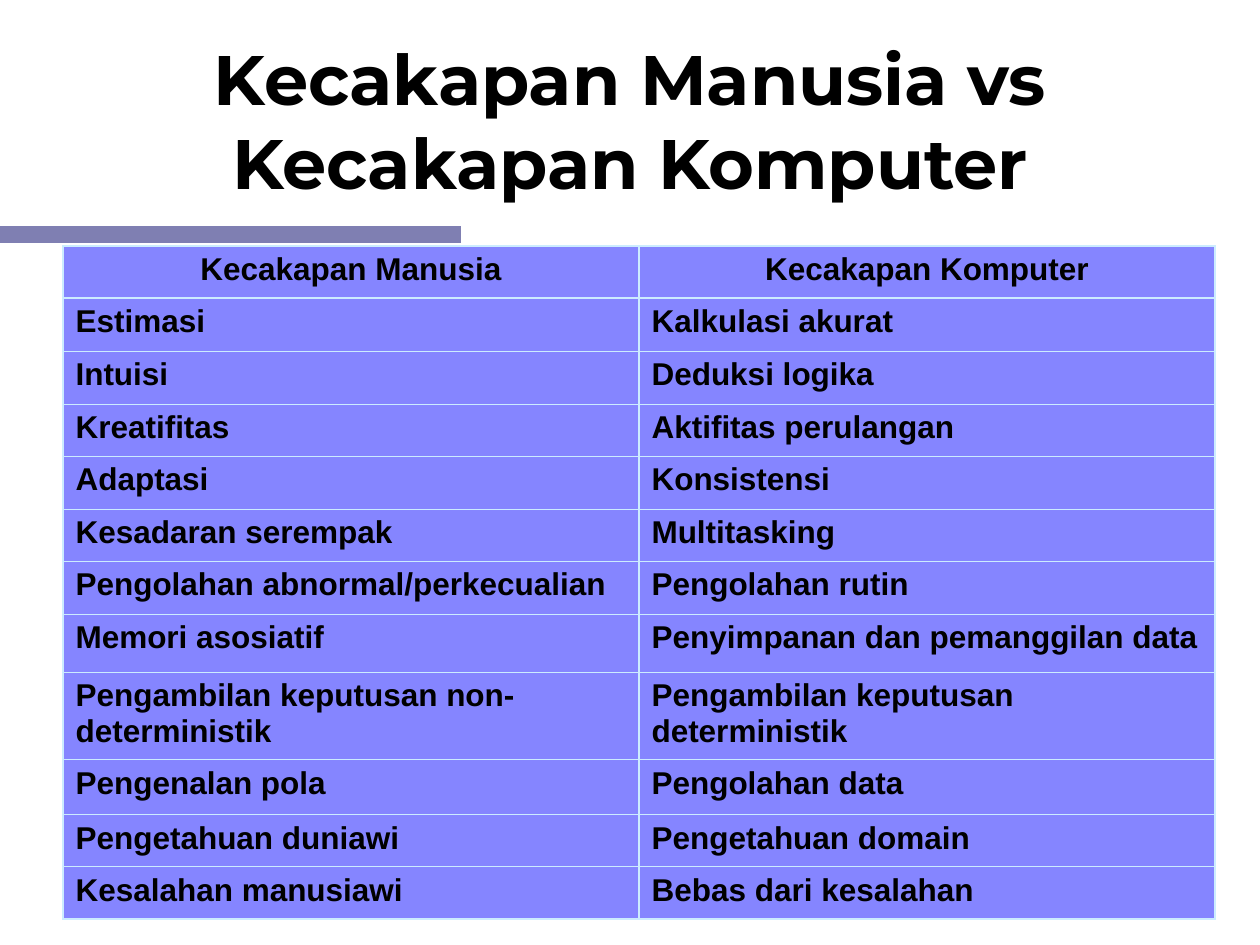
"""Build the slide comparing human and computer skills."""
import lxml.etree
import pptx
import pptx.dml.color
import pptx.enum.shapes
import pptx.enum.text
import pptx.oxml.ns
import pptx.util

PX = 914400 / 126
CENTER = pptx.enum.text.PP_ALIGN.CENTER
LEFT = pptx.enum.text.PP_ALIGN.LEFT
THIN, MEDIUM, THICK = 0.45, 1.08, 1.47
SKILLS = [
    ("Kecakapan Manusia", "Kecakapan Komputer", 52),
    ("Estimasi", "Kalkulasi akurat", 53),
    ("Intuisi", "Deduksi logika", 53),
    ("Kreatifitas", "Aktifitas perulangan", 52),
    ("Adaptasi", "Konsistensi", 53),
    ("Kesadaran serempak", "Multitasking", 52),
    ("Pengolahan abnormal/perkecualian", "Pengolahan rutin", 53),
    ("Memori asosiatif", "Penyimpanan dan pemanggilan data", 58),
    ("Pengambilan keputusan non-deterministik", "Pengambilan keputusan deterministik", 88),
    ("Pengenalan pola", "Pengolahan data", 55),
    ("Pengetahuan duniawi", "Pengetahuan domain", 52),
    ("Kesalahan manusiawi", "Bebas dari kesalahan", 52),
]


def color(value):
    return pptx.dml.color.RGBColor.from_string(value)


def write(frame, text, font="Arial", size=18, align=LEFT):
    frame.word_wrap = True
    paragraph = frame.paragraphs[0]
    paragraph.alignment = align
    run = paragraph.add_run()
    run.text = text
    run.font.name = font
    run.font.size = pptx.util.Pt(size)
    run.font.bold = True
    run.font.color.rgb = color("000000")


presentation = pptx.Presentation()
presentation.slide_width = pptx.util.Inches(10)
presentation.slide_height = pptx.util.Inches(7.5)
slide = presentation.slides.add_slide(presentation.slide_layouts[5])

bar = slide.shapes.add_shape(
    pptx.enum.shapes.MSO_SHAPE.RECTANGLE, *[round(n * PX) for n in (0, 226, 461, 17)])
bar.shadow.inherit = False
bar.fill.solid()
bar.fill.fore_color.rgb = color("000066")
bar.line.fill.background()
bar_color = bar.fill._xPr.find(".//" + pptx.oxml.ns.qn("a:srgbClr"))
lxml.etree.SubElement(bar_color, pptx.oxml.ns.qn("a:alpha"), val="50000")

title = slide.shapes.title
title.left, title.top, title.width, title.height = [round(n * PX) for n in (63, 0, 1134, 204)]
title.text_frame.auto_size = pptx.enum.text.MSO_AUTO_SIZE.NONE
title.text_frame.vertical_anchor = pptx.enum.text.MSO_ANCHOR.BOTTOM
title.text_frame.margin_bottom = 0
write(title.text_frame, "Kecakapan Manusia vs Kecakapan Komputer", font="Montserrat", size=40, align=CENTER)

total_height = sum(height for human, computer, height in SKILLS)
table = slide.shapes.add_table(
    len(SKILLS), 2, *[round(n * PX) for n in (63, 246, 1152, total_height)]).table
for column in table.columns:
    column.width = round(576 * PX)

last = len(SKILLS) - 1
for row, (human, computer, height) in enumerate(SKILLS):
    table.rows[row].height = round(height * PX)
    top = {0: MEDIUM, 1: THICK}.get(row, THIN)
    bottom = {0: THICK, last: MEDIUM}.get(row, THIN)
    for column, text in enumerate((human, computer)):
        cell = table.cell(row, column)
        write(cell.text_frame, text, align=CENTER if row == 0 else LEFT)
        left, right = (MEDIUM, THICK) if column == 0 else (THICK, MEDIUM)
        properties = cell._tc.get_or_add_tcPr()
        for side, width in zip("LRTB", (left, right, top, bottom)):
            line = lxml.etree.SubElement(
                properties, pptx.oxml.ns.qn("a:ln" + side), w=str(pptx.util.Pt(width)))
            fill = lxml.etree.SubElement(line, pptx.oxml.ns.qn("a:solidFill"))
            lxml.etree.SubElement(fill, pptx.oxml.ns.qn("a:srgbClr"), val="CCECFF")
        cell.fill.solid()
        cell.fill.fore_color.rgb = color("8585FF")

presentation.save("out.pptx")
